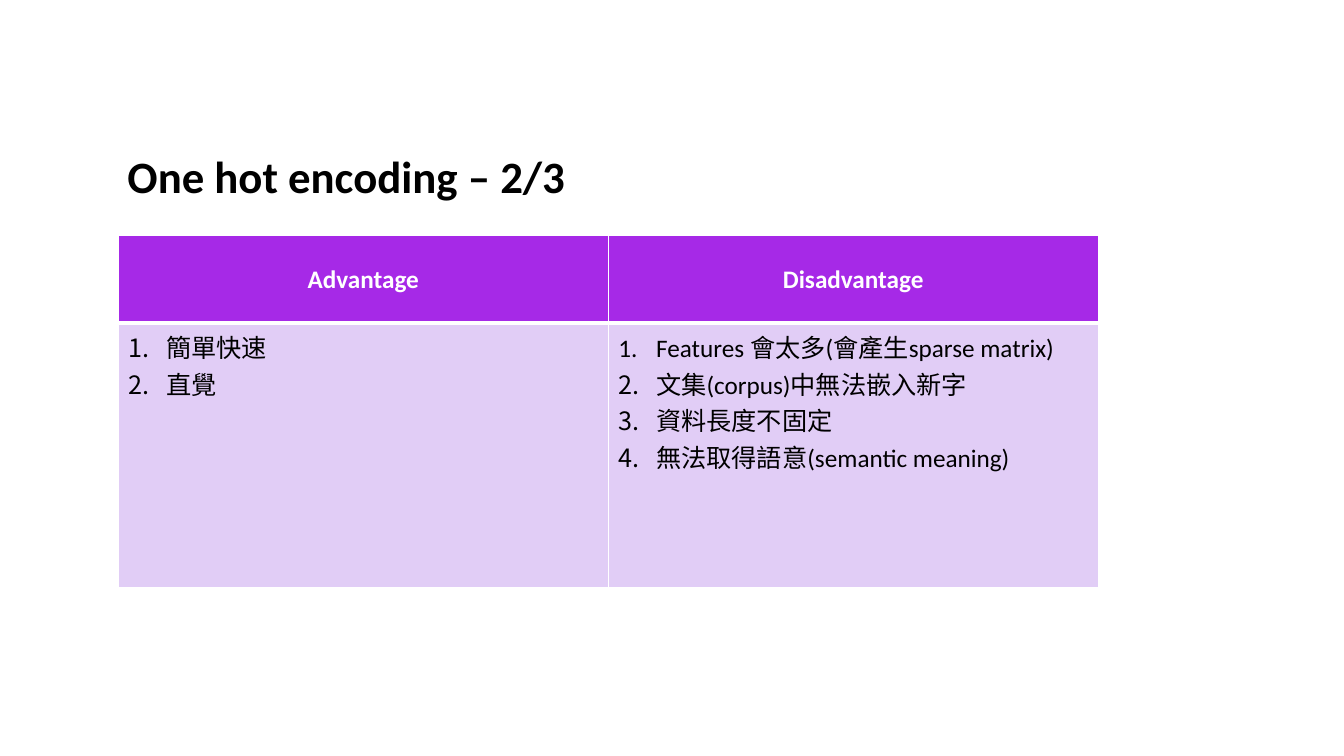
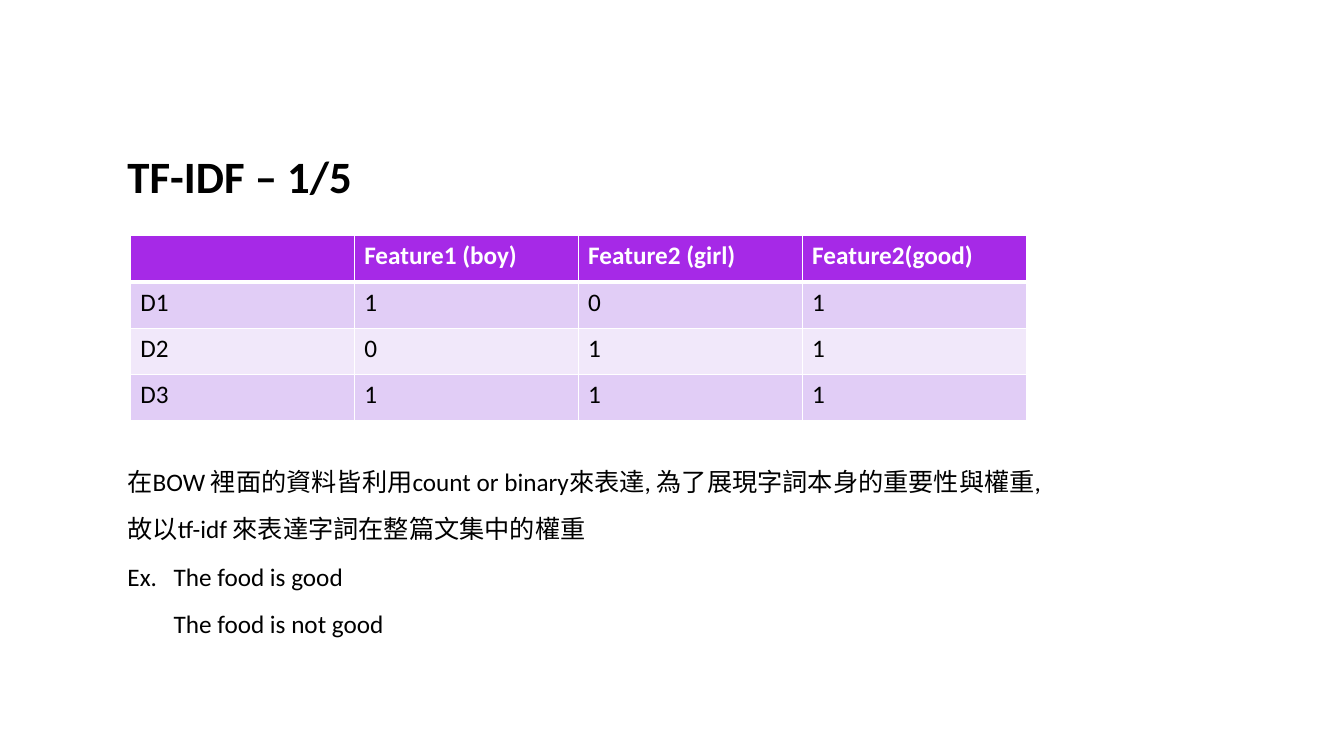
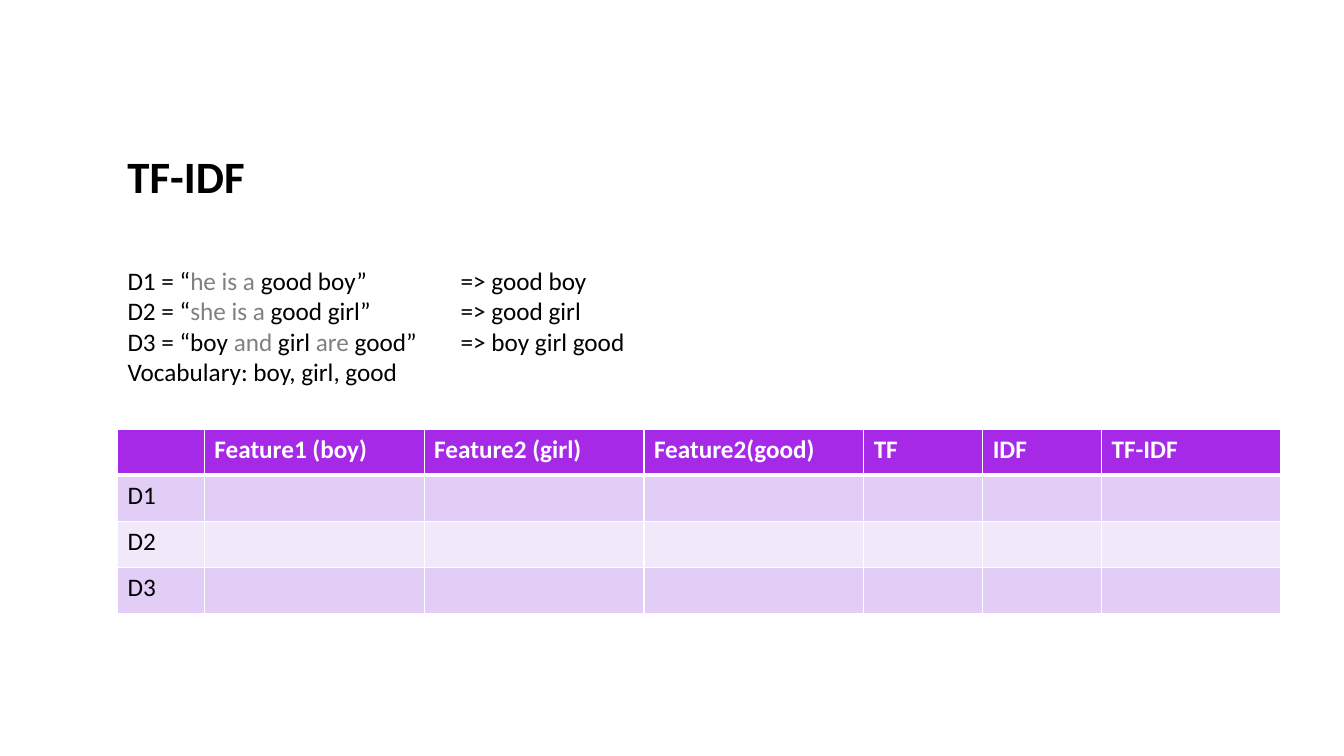
from lxml.etree import SubElement
from pptx import Presentation
from pptx.dml.color import RGBColor
from pptx.enum.text import MSO_ANCHOR as ANCHOR, PP_ALIGN as ALIGN
from pptx.oxml import parse_xml
from pptx.oxml.ns import nsdecls, qn
from pptx.util import Pt

FONT = "Calibri"
BLACK, WHITE, GREY = "000000", "FFFFFF", "808080"
HEADER, BANDS = "A629E7", ("E1CDF6", "F1E8FA")
LEFT, WIDTH = 84, 700
ROW_H = 33
FEATURES = ["", "Feature1 (boy)", "Feature2 (girl)", "Feature2(good)"]


def rgb(value):
    """Turn a hex string into a colour."""
    return RGBColor.from_string(value)


def style(p, size=18, color=BLACK, bold=False):
    """Format every run of a paragraph."""
    for r in p.runs:
        r.font.name, r.font.size, r.font.bold = FONT, Pt(size), bold
        r.font.color.rgb = rgb(color)


def set_tab(p, pos):
    """Give a paragraph one left tab stop."""
    tabs = SubElement(p._p.get_or_add_pPr(), qn("a:tabLst"))
    SubElement(tabs, qn("a:tab"), pos=str(Pt(pos)), algn="l")


def number(p, indent=27):
    """Number a paragraph with a hanging indent."""
    pPr = p._p.get_or_add_pPr()
    pPr.set("marL", str(Pt(indent)))
    pPr.set("indent", str(-Pt(indent)))
    SubElement(pPr, qn("a:buFont"), typeface="+mj-lt")
    SubElement(pPr, qn("a:buAutoNum"), type="arabicPeriod")


def set_borders(cell, top=1, bottom=1):
    """Draw white lines around a cell."""
    tcPr = cell._tc.get_or_add_tcPr()
    widths = {"lnL": 1, "lnR": 1, "lnT": top, "lnB": bottom}
    for i, (side, width) in enumerate(widths.items()):
        tcPr.insert(i, parse_xml(
            f'<a:{side} {nsdecls("a")} w="{Pt(width)}"><a:solidFill>'
            f'<a:srgbClr val="{WHITE}"/></a:solidFill></a:{side}>'))


def add_text(slide, x, y, w, h, text):
    """Add a wrapping text box and return its frame."""
    tf = slide.shapes.add_textbox(Pt(x), Pt(y), Pt(w), Pt(h)).text_frame
    tf.word_wrap = True
    tf.text = text
    return tf


def add_slide(prs, title):
    """Add a blank slide with the shared title."""
    slide = prs.slides.add_slide(prs.slide_layouts[6])
    tf = add_text(slide, LEFT, 73.5, WIDTH, 75, title)
    tf.vertical_anchor = ANCHOR.BOTTOM
    tf.paragraphs[0].line_spacing = 0.9
    style(tf.paragraphs[0], 32, bold=True)
    return slide


def add_grid(slide, x, y, cols, heights, rows):
    """Add a table with a purple header and tinted rows."""
    table = slide.shapes.add_table(len(rows), len(cols), Pt(x), Pt(y),
                                   Pt(sum(cols)), Pt(sum(heights))).table
    for col, width in zip(table.columns, cols):
        col.width = Pt(width)
    for i, (height, texts) in enumerate(zip(heights, rows)):
        table.rows[i].height = Pt(height)
        head = i == 0
        for cell, text in zip(table.rows[i].cells, texts):
            cell.text_frame.text = text
            cell.fill.solid()
            cell.fill.fore_color.rgb = rgb(HEADER if head else BANDS[(i - 1) % 2])
            set_borders(cell, 3 if i == 1 else 1, 3 if head else 1)
            for p in cell.text_frame.paragraphs:
                style(p, color=WHITE if head else BLACK, bold=head)
    return table


def one_hot_slide(prs):
    """Compare the two sides of one hot encoding."""
    slide = add_slide(prs, "One hot encoding – 2/3")
    table = add_grid(slide, LEFT + 0.5, 168.5, [WIDTH / 2] * 2, [62.5, 188.5], [
        ["Advantage", "Disadvantage"],
        ["簡單快速\n直覺",
         "Features 會太多(會產生sparse matrix)\n文集(corpus)中無法嵌入新字\n"
         "資料長度不固定\n無法取得語意(semantic meaning)"]])
    for cell in table.rows[0].cells:
        cell.vertical_anchor = ANCHOR.MIDDLE
        cell.text_frame.paragraphs[0].alignment = ALIGN.CENTER
    for cell in table.rows[1].cells:
        for p in cell.text_frame.paragraphs:
            number(p)


def counts_slide(prs):
    """Show the feature counts and the reason for weights."""
    slide = add_slide(prs, "TF-IDF – 1/5")
    tf = add_text(slide, LEFT, 327.5, WIDTH, 138,
                  "在BOW 裡面的資料皆利用count or binary來表達, 為了展現字詞本身的重要性與權重,\n"
                  "故以tf-idf 來表達字詞在整篇文集中的權重\n"
                  "Ex.\tThe food is good\n\tThe food is not good")
    for i, p in enumerate(tf.paragraphs):
        p.line_spacing = 1.1
        if i:
            p.space_before = Pt(10)
        set_tab(p, 33)
        style(p)
    add_grid(slide, 93, 168.5, [160] * 4, [ROW_H] * 4, [
        FEATURES, ["D1", "1", "0", "1"], ["D2", "0", "1", "1"], ["D3", "1", "1", "1"]])


def add_documents(slide, x, y, w, h):
    """List the documents, with the words between bars in grey."""
    lines = ["D1 = “|he is a |good boy”\t=> good boy",
             "D2 = “|she is a |good girl”\t=> good girl",
             "D3 = “boy |and| girl |are| good”\t=> boy girl good",
             "Vocabulary: boy, girl, good"]
    tf = add_text(slide, x, y, w, h, "\n".join([""] * len(lines)))
    for p, line in zip(tf.paragraphs, lines):
        set_tab(p, 238)
        for part in line.split("|"):
            p.add_run().text = part
        style(p)
        for r in p.runs[1::2]:
            r.font.color.rgb = rgb(GREY)


def weights_slide(prs):
    """Show the documents above the empty weight table."""
    slide = add_slide(prs, "TF-IDF")
    add_grid(slide, LEFT, 306.5, [62, 157, 157, 157, 85, 85, 128], [ROW_H] * 4,
             [FEATURES + ["TF", "IDF", "TF-IDF"]]
             + [[name] + [""] * 6 for name in ("D1", "D2", "D3")])
    add_documents(slide, LEFT, 186, 480, 94)


def main():
    """Build and save the presentation."""
    prs = Presentation()
    prs.slide_width, prs.slide_height = Pt(960), Pt(540)
    one_hot_slide(prs)
    counts_slide(prs)
    weights_slide(prs)
    prs.save("out.pptx")


if __name__ == "__main__":
    main()
